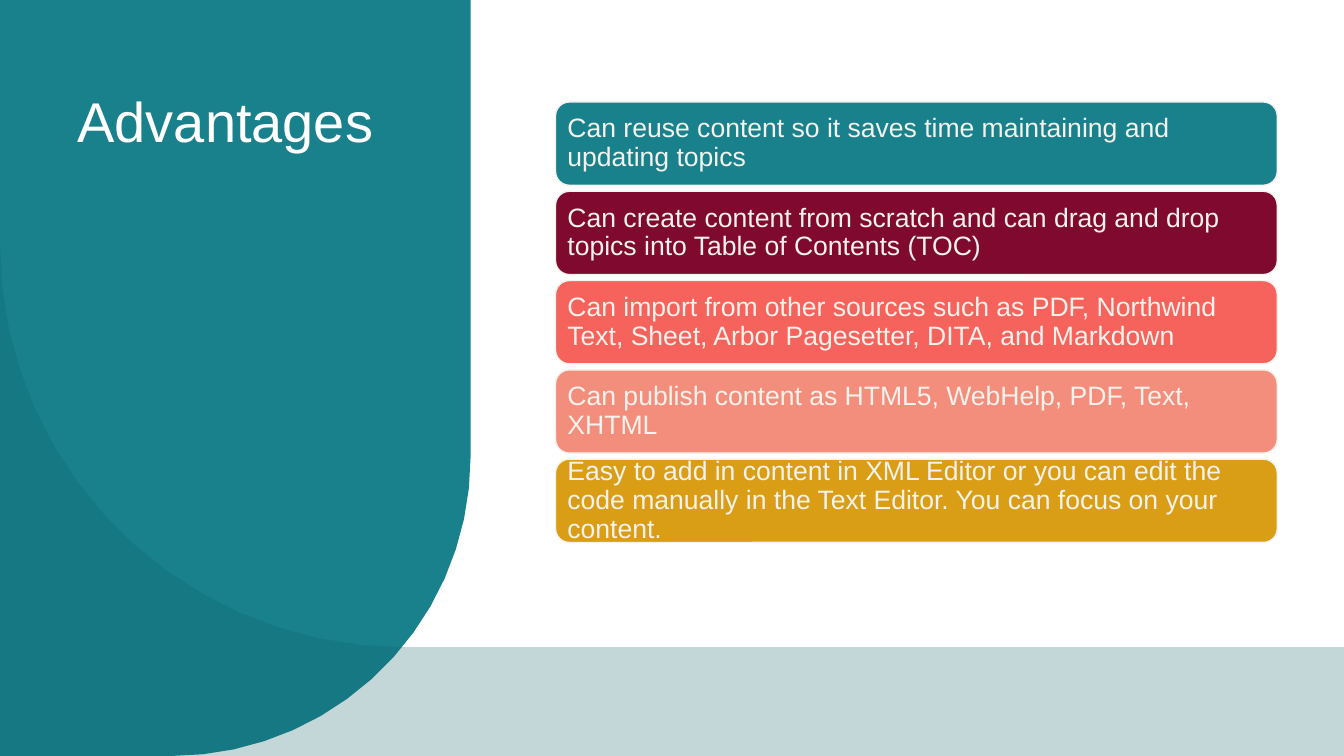
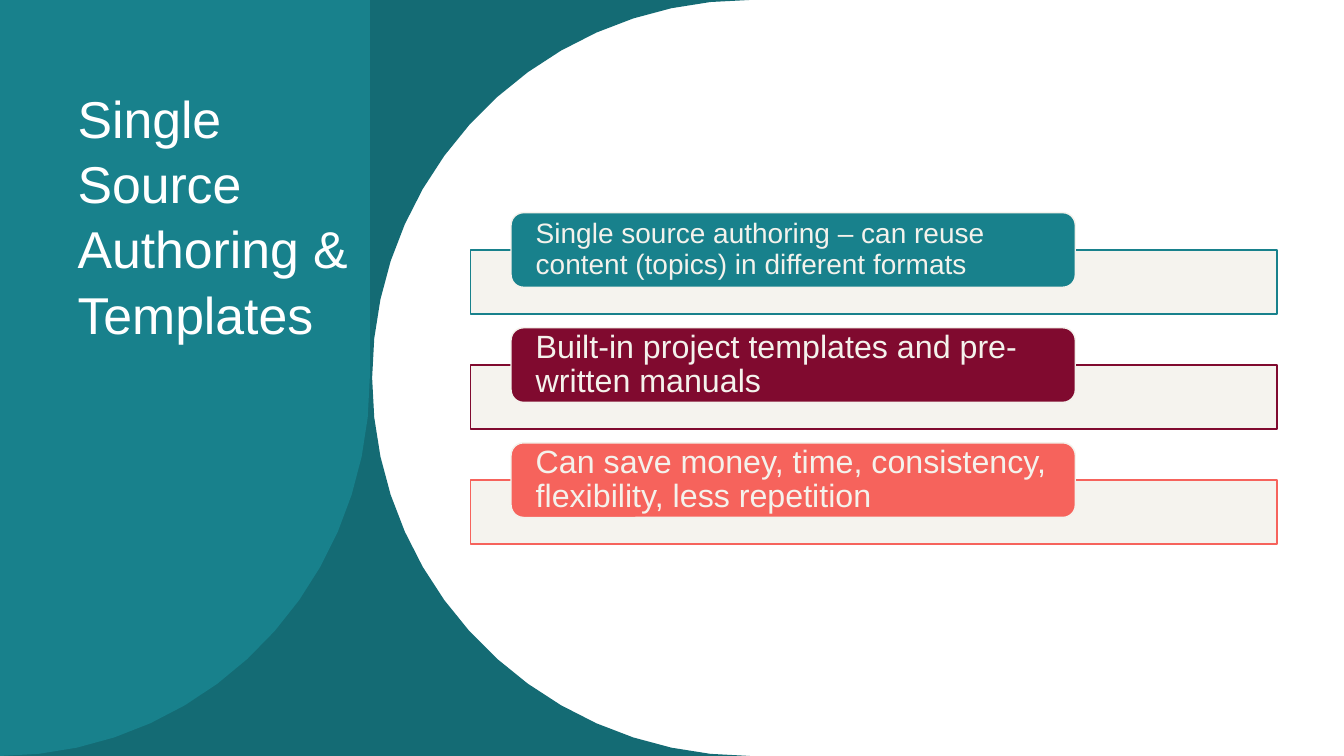
from dataclasses import dataclass
from math import cos, radians, sin

from lxml.etree import SubElement
from pptx import Presentation
from pptx.dml.color import RGBColor
from pptx.enum.shapes import MSO_SHAPE
from pptx.enum.text import MSO_ANCHOR, MSO_AUTO_SIZE, PP_ALIGN
from pptx.oxml.ns import qn
from pptx.presentation import Presentation as Deck
from pptx.shapes.autoshape import Shape
from pptx.slide import Slide
from pptx.text.text import TextFrame
from pptx.util import Cm, Pt

TEAL = RGBColor(0x18, 0x81, 0x8C)
DEEP_TEAL = RGBColor(0x14, 0x6B, 0x74)
BAND_TEAL = RGBColor(0x12, 0x61, 0x69)
WINE = RGBColor(0x80, 0x0A, 0x2F)
CORAL = RGBColor(0xF6, 0x63, 0x5C)
SALMON = RGBColor(0xF4, 0x8E, 0x7C)
GOLD = RGBColor(0xDA, 0x9D, 0x16)
CREAM = RGBColor(0xF4, 0xF2, 0xEC)
PALE_CREAM = RGBColor(0xF5, 0xF3, 0xEE)
WHITE = RGBColor(0xFF, 0xFF, 0xFF)

FONT = "Arial"
PAGE_WIDTH, PAGE_HEIGHT = 33.87, 19.05
TITLE_ONLY = 5
ARC_STEP = 6

Point = tuple[float, float]


@dataclass(frozen=True)
class Frame:
    """A rectangle in centimetres."""

    left: float
    top: float
    width: float
    height: float

    def moved_down(self, distance: float) -> "Frame":
        return Frame(self.left, self.top + distance, self.width, self.height)

    def lengths(self) -> tuple[Cm, Cm, Cm, Cm]:
        return Cm(self.left), Cm(self.top), Cm(self.width), Cm(self.height)


@dataclass(frozen=True)
class Bar:
    text: str
    color: RGBColor
    size: int


ADVANTAGES = [
    Bar("Can reuse content so it saves time maintaining and updating topics", TEAL, 19),
    Bar("Can create content from scratch and can drag and drop topics into "
        "Table of Contents (TOC)", WINE, 19),
    Bar("Can import from other sources such as PDF, Northwind Text, Sheet, "
        "Arbor Pagesetter, DITA, and Markdown", CORAL, 19),
    Bar("Can publish content as HTML5, WebHelp, PDF, Text, XHTML", SALMON, 19),
    Bar("Easy to add in content in XML Editor or you can edit the code manually "
        "in the Text Editor. You can focus on your content.", GOLD, 19),
]
ADVANTAGE_FRAME = Frame(14, 2.57, 18.19, 2.1)
ADVANTAGE_STEP = 2.25

TEMPLATES = [
    Bar("Single source authoring – can reuse content (topics) in different formats",
        TEAL, 20),
    Bar("Built-in project templates and pre-written manuals", WINE, 23),
    Bar("Can save money, time, consistency, flexibility, less repetition", CORAL, 23),
]
TEMPLATE_FRAME = Frame(12.88, 5.36, 14.22, 1.88)
TRAY_FRAME = Frame(11.86, 6.3, 20.32, 1.61)
TEMPLATE_STEP = 2.9


def arc(center: Point, radii: Point, start: int, end: int) -> list[Point]:
    """Points along an ellipse; angles in degrees, clockwise from the right."""
    step = ARC_STEP if end > start else -ARC_STEP
    return [
        (center[0] + radii[0] * cos(radians(angle)),
         center[1] + radii[1] * sin(radians(angle)))
        for angle in range(start, end + step, step)
    ]


def paint(shape: Shape, fill: RGBColor, line: RGBColor | None = None) -> None:
    shape.shadow.inherit = False
    shape.fill.solid()
    shape.fill.fore_color.rgb = fill
    if line is None:
        shape.line.fill.background()
    else:
        shape.line.color.rgb = line
        shape.line.width = Pt(1)


def add_outline(page: Slide, points: list[Point], color: RGBColor) -> Shape:
    corners = [(Cm(x), Cm(y)) for x, y in points]
    builder = page.shapes.build_freeform(*corners[0])
    builder.add_line_segments(corners[1:])
    outline = builder.convert_to_shape()
    paint(outline, color)
    return outline


def set_opacity(shape: Shape, percent: int) -> None:
    color = shape.element.xpath("./p:spPr/a:solidFill/a:srgbClr")[0]
    SubElement(color, qn("a:alpha")).set("val", str(percent * 1000))


def format_text(text_frame: TextFrame, size: int, color: RGBColor, spacing: float) -> None:
    text_frame.word_wrap = True
    paragraph = text_frame.paragraphs[0]
    paragraph.alignment = PP_ALIGN.LEFT
    paragraph.line_spacing = spacing
    for run in paragraph.runs:
        run.font.name = FONT
        run.font.size = Pt(size)
        run.font.color.rgb = color


def add_title(page: Slide, text: str, size: int, width: float) -> None:
    """Fill the title and bring it in front of the panels drawn so far."""
    title = page.shapes.title
    title.element.getparent().append(title.element)
    title.left, title.top, title.width, title.height = Frame(1.7, 1.98, width, 10.5).lengths()
    title.text_frame.text = text
    title.text_frame.auto_size = MSO_AUTO_SIZE.NONE
    title.text_frame.vertical_anchor = MSO_ANCHOR.TOP
    format_text(title.text_frame, size, WHITE, 1.05)


def add_bar(page: Slide, bar: Bar, frame: Frame, side_inset: float) -> None:
    box = page.shapes.add_shape(MSO_SHAPE.ROUNDED_RECTANGLE, *frame.lengths())
    paint(box, bar.color, CREAM)
    text_frame = box.text_frame
    text_frame.text = bar.text
    text_frame.vertical_anchor = MSO_ANCHOR.MIDDLE
    text_frame.margin_left = text_frame.margin_right = Cm(side_inset)
    text_frame.margin_top = text_frame.margin_bottom = 0
    format_text(text_frame, bar.size, CREAM, 0.9)


def add_page(deck: Deck) -> Slide:
    return deck.slides.add_slide(deck.slide_layouts[TITLE_ONLY])


def add_advantages(deck: Deck) -> None:
    page = add_page(deck)
    panel_curve = arc((4.32, 11.51), (7.54, 7.54), 0, 90)
    add_outline(page, [(0, 0), (11.86, 0), *panel_curve, (0, PAGE_HEIGHT)], TEAL)
    band_curve = arc((10.16, 6.15), (10.16, 10.16), 180, 90)
    band = add_outline(
        page,
        [*band_curve, (PAGE_WIDTH, 16.31), (PAGE_WIDTH, PAGE_HEIGHT), (0, PAGE_HEIGHT)],
        BAND_TEAL,
    )
    set_opacity(band, 25)
    add_title(page, "Advantages", 40, 9.32)
    for index, bar in enumerate(ADVANTAGES):
        add_bar(page, bar, ADVANTAGE_FRAME.moved_down(index * ADVANTAGE_STEP), 0.2)


def add_templates(deck: Deck) -> None:
    page = add_page(deck)
    middle = PAGE_HEIGHT / 2
    bay_curve = arc((18.9, middle), (9.52, middle), 270, 90)
    add_outline(page, [(0, 0), *bay_curve, (0, PAGE_HEIGHT)], DEEP_TEAL)
    panel_curve = arc((0, middle), (9.32, middle), 0, 90)
    add_outline(page, [(0, 0), (9.32, 0), *panel_curve], TEAL)
    add_title(page, "Single Source Authoring & Templates", 37, 7.44)
    for index, bar in enumerate(TEMPLATES):
        drop = index * TEMPLATE_STEP
        tray = page.shapes.add_shape(
            MSO_SHAPE.RECTANGLE, *TRAY_FRAME.moved_down(drop).lengths())
        paint(tray, PALE_CREAM, bar.color)
        add_bar(page, bar, TEMPLATE_FRAME.moved_down(drop), 0.53)


def main() -> None:
    deck = Presentation()
    deck.slide_width, deck.slide_height = Cm(PAGE_WIDTH), Cm(PAGE_HEIGHT)
    add_advantages(deck)
    add_templates(deck)
    deck.save("out.pptx")


if __name__ == "__main__":
    main()
